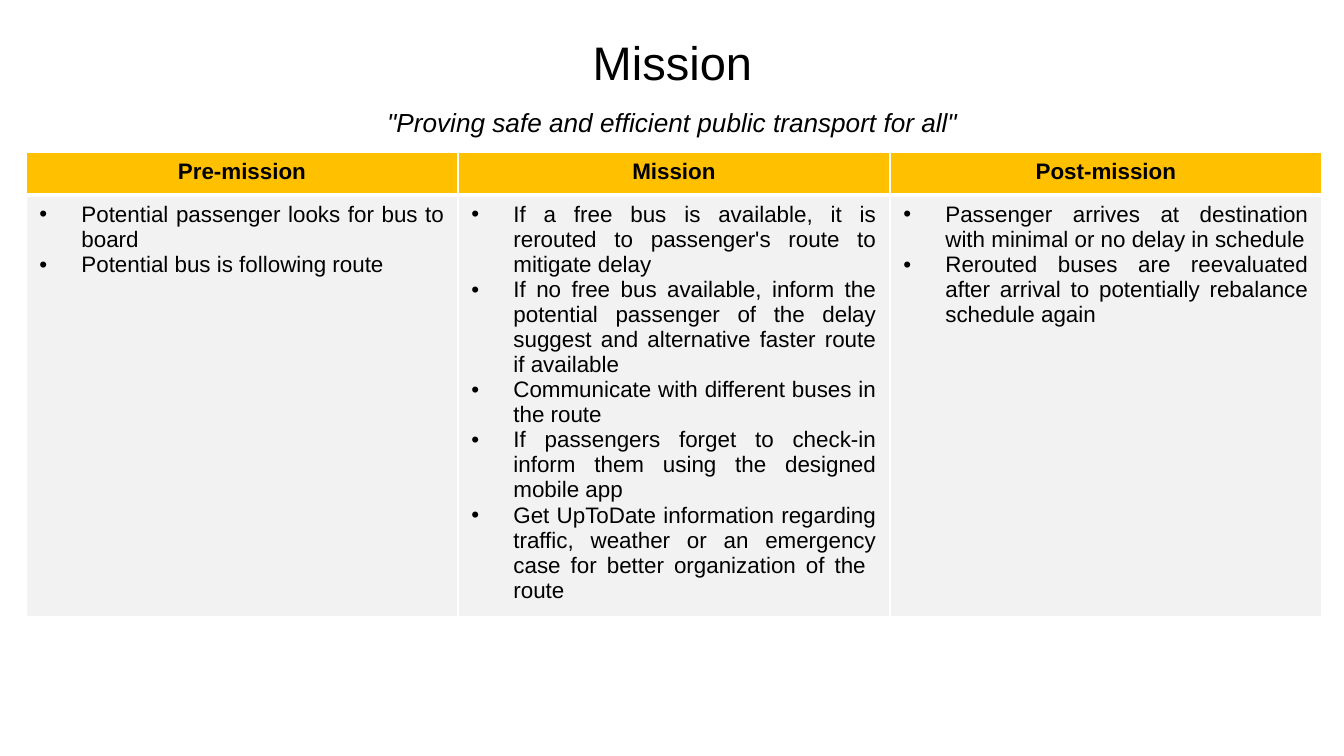
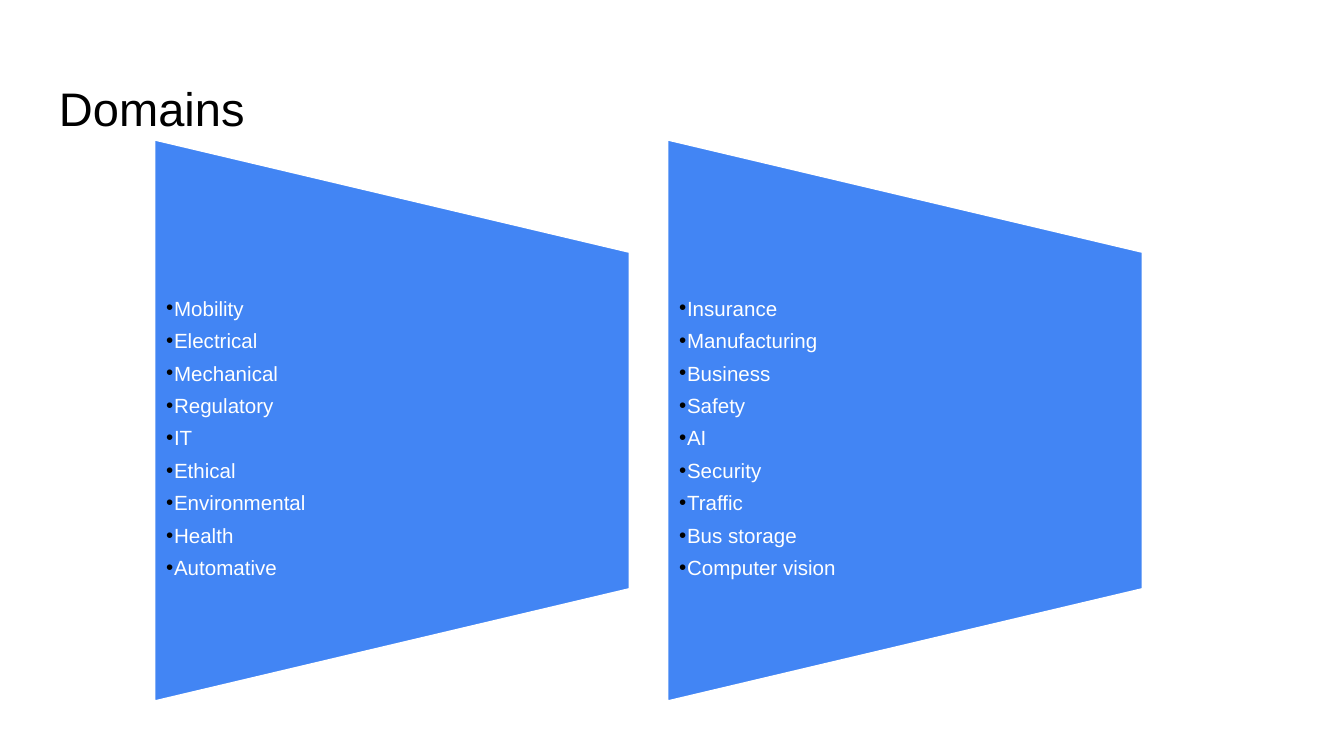
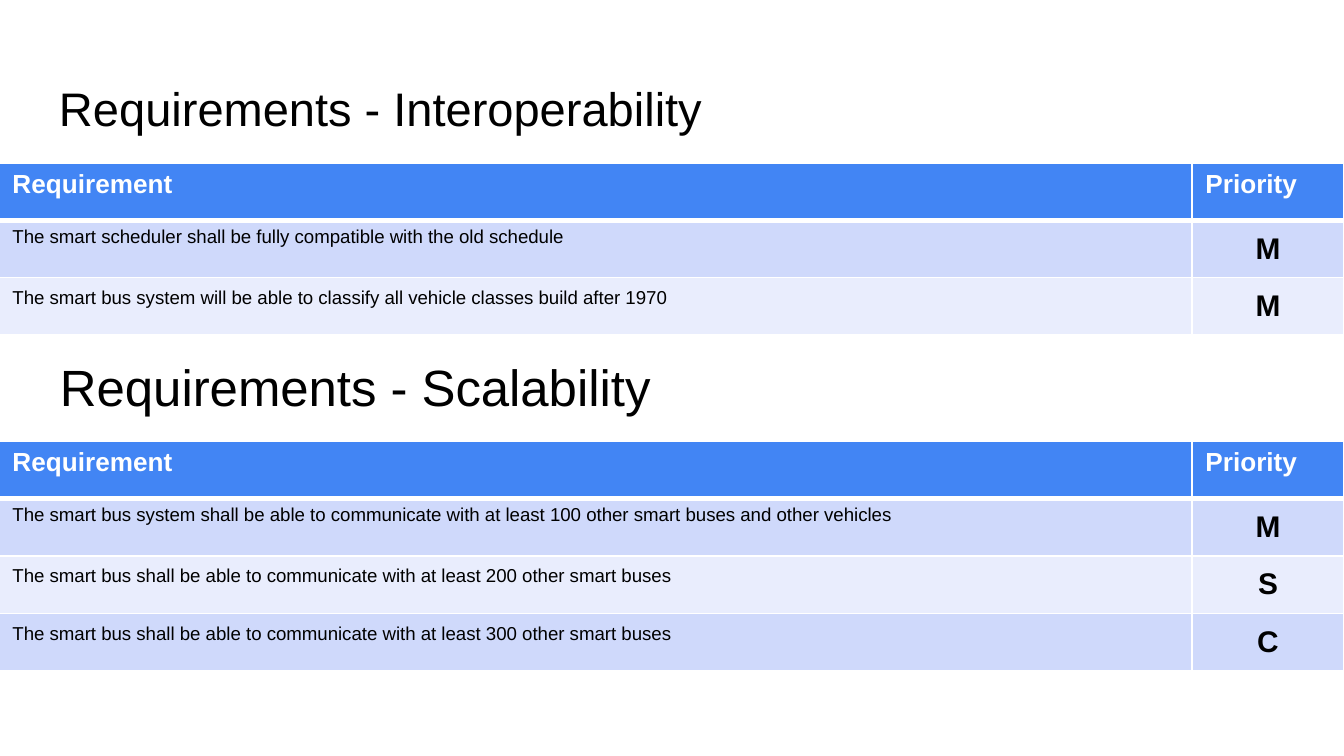
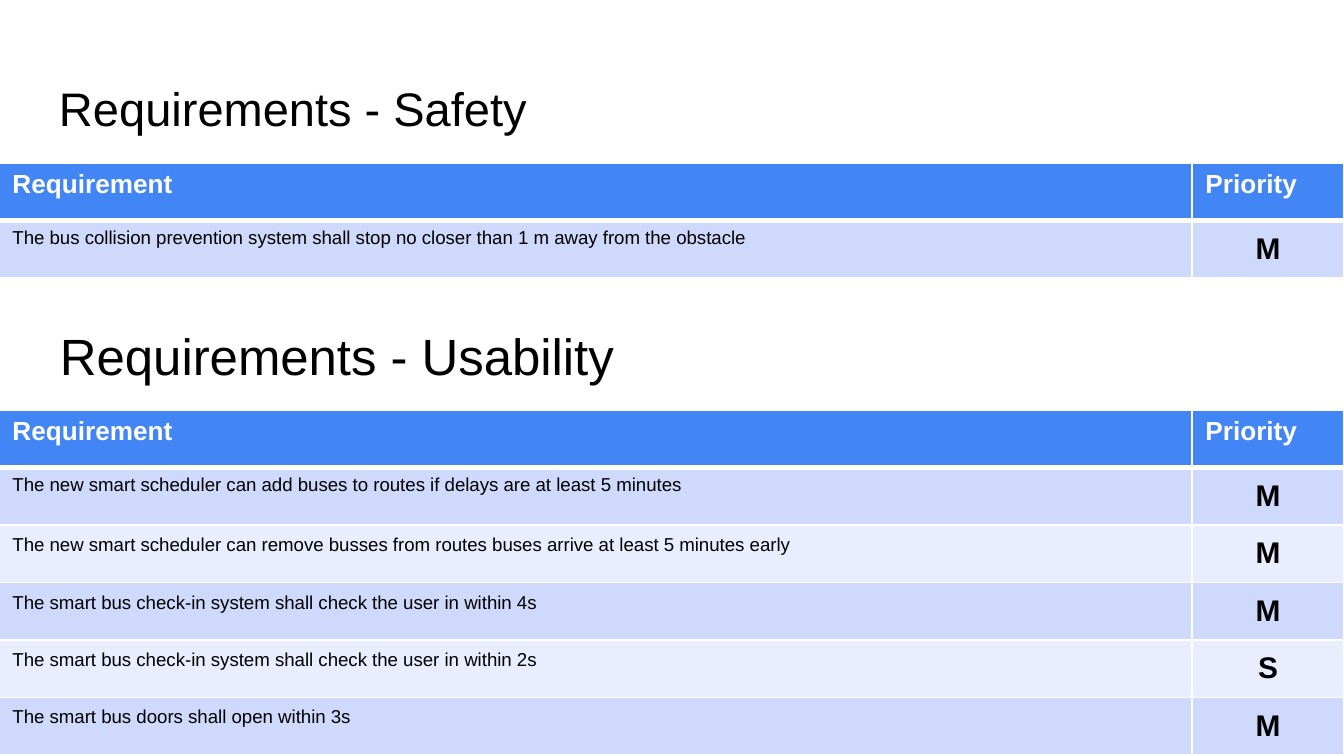
from lxml.etree import SubElement
from pptx import Presentation
from pptx.dml.color import RGBColor
from pptx.enum.shapes import MSO_SHAPE as Shape
from pptx.enum.text import MSO_ANCHOR as Anchor, MSO_AUTO_SIZE as AutoSize, PP_ALIGN as Align
from pptx.oxml.ns import qn
from pptx.util import Pt

EMU_PER_INCH, PX_PER_INCH = 914400, 134.4
SLIDE_W, SLIDE_H = 1344, 756
TITLE_ONLY = 5
FONT = "Arial"
COLORS = {
    "text": "000000",
    "white": "FFFFFF",
    "blue": "4285F4",
    "band_dark": "CFD9FB",
    "band_light": "E9EDFD",
    "amber": "FFC000",
    "grey": "F2F2F2",
}
TITLE_BOX = (46, 66, 1253, 85)
INSET = 13

PHASES = {
    "Pre-mission": [
        "Potential passenger looks for bus to board",
        "Potential bus is following route",
    ],
    "Mission": [
        "If a free bus is available, it is rerouted to passenger's route to mitigate delay",
        "If no free bus available, inform the potential passenger of the delay "
        "suggest and alternative faster route if available",
        "Communicate with different buses in the route",
        "If passengers forget to check-in inform them using the designed mobile app",
        "Get UpToDate information regarding traffic, weather or an emergency case "
        "for better organization of the  route",
    ],
    "Post-mission": [
        "Passenger arrives at destination with minimal or no delay in schedule",
        "Rerouted buses are reevaluated after arrival to potentially rebalance schedule again",
    ],
}
DOMAINS = [
    ["Mobility", "Electrical", "Mechanical", "Regulatory", "IT", "Ethical",
     "Environmental", "Health", "Automative"],
    ["Insurance", "Manufacturing", "Business", "Safety", "AI", "Security",
     "Traffic", "Bus storage", "Computer vision"],
]
INTEROPERABILITY = [
    ("The smart scheduler shall be fully compatible with the old schedule", "M"),
    ("The smart bus system will be able to classify all vehicle classes build after 1970", "M"),
]
SCALABILITY = [
    ("The smart bus system shall be able to communicate with at least 100 other "
     "smart buses and other vehicles", "M"),
    ("The smart bus shall be able to communicate with at least 200 other smart buses", "S"),
    ("The smart bus shall be able to communicate with at least 300 other smart buses", "C"),
]
SAFETY = [
    ("The bus collision prevention system shall stop no closer than 1 m away from the obstacle", "M"),
]
USABILITY = [
    ("The new smart scheduler can add buses to routes if delays are at least 5 minutes", "M"),
    ("The new smart scheduler can remove busses from routes buses arrive at least 5 minutes early", "M"),
    ("The smart bus check-in system shall check the user in within 4s", "M"),
    ("The smart bus check-in system shall check the user in within 2s", "S"),
    ("The smart bus doors shall open within 3s", "M"),
]


def px(length):
    return round(length * EMU_PER_INCH / PX_PER_INCH)


def px_box(box):
    return [px(length) for length in box]


def color(name):
    return RGBColor.from_string(COLORS[name])


def add_bullet(para, indent):
    """Hang a black bullet in the given indent."""
    props = para._p.get_or_add_pPr()
    props.set("marL", str(px(indent)))
    props.set("indent", str(-px(indent)))
    SubElement(SubElement(props, qn("a:buClr")), qn("a:srgbClr"), val=COLORS["text"])
    SubElement(props, qn("a:buFont"), typeface=FONT)
    SubElement(props, qn("a:buChar"), char="•")


def write(frame, text, size=12, ink="text", bold=False, italic=False, align=Align.LEFT,
          spacing=1.0, after=0, bullet_indent=None):
    """Fill a text frame with one paragraph, or with one for each item of a list."""
    lines = [text] if isinstance(text, str) else text
    for index, line in enumerate(lines):
        para = frame.add_paragraph() if index else frame.paragraphs[0]
        para.alignment = align
        para.line_spacing = spacing
        para.space_before = Pt(0)
        para.space_after = Pt(after)
        if bullet_indent:
            add_bullet(para, bullet_indent)
        span = para.add_run()
        span.text = line
        span.font.name = FONT
        span.font.size = Pt(size)
        span.font.bold = bold
        span.font.italic = italic
        span.font.color.rgb = color(ink)


def set_frame(frame, side=INSET, top=INSET, bottom=INSET, anchor=Anchor.TOP):
    frame.word_wrap = True
    frame.auto_size = AutoSize.NONE
    frame.vertical_anchor = anchor
    frame.margin_left = frame.margin_right = px(side)
    frame.margin_top, frame.margin_bottom = px(top), px(bottom)


def add_text(page, box, text, side=INSET, top=INSET, bottom=INSET, **style):
    frame = page.shapes.add_textbox(*px_box(box)).text_frame
    set_frame(frame, side, top, bottom)
    write(frame, text, **style)


def add_page(deck, title, box=TITLE_BOX, align=Align.LEFT):
    page = deck.slides.add_slide(deck.slide_layouts[TITLE_ONLY])
    holder = page.shapes.title
    holder.left, holder.top, holder.width, holder.height = px_box(box)
    set_frame(holder.text_frame)
    write(holder.text_frame, title, size=25.2, align=align)
    return page


def fill_cell(cell, text, fill, bottom_line=1, anchor=Anchor.TOP, **style):
    """Give a cell its white borders, fill and text."""
    props = cell._tc.get_or_add_tcPr()
    for side, points in (("L", 1), ("R", 1), ("T", 1), ("B", bottom_line)):
        line = SubElement(props, qn(f"a:ln{side}"), w=str(Pt(points)))
        SubElement(SubElement(line, qn("a:solidFill")), qn("a:srgbClr"), val=COLORS["white"])
    cell.fill.solid()
    cell.fill.fore_color.rgb = color(fill)
    cell.vertical_anchor = anchor
    write(cell.text_frame, text, **style)


def add_grid(page, box, row_count, column_widths):
    table = page.shapes.add_table(row_count, len(column_widths), *px_box(box)).table
    table.horz_banding = False
    for column, width in zip(table.columns, column_widths):
        column.width = px(width)
    return table


def phase_table(page, box, header_height=43):
    width, height = box[2:]
    table = add_grid(page, box, 2, [width // len(PHASES)] * len(PHASES))
    table.rows[0].height = px(header_height)
    table.rows[1].height = px(height - header_height)
    for column, (phase, steps) in enumerate(PHASES.items()):
        fill_cell(table.cell(0, column), phase, "amber", bottom_line=3,
                  bold=True, align=Align.CENTER)
        fill_cell(table.cell(1, column), steps, "grey",
                  align=Align.JUSTIFY, bullet_indent=42)


def domain_panel(page, box, domains):
    """Draw a panel that narrows to the right, with its list of domains."""
    left, top, width, height = box
    shift = (height - width) // 2
    panel = page.shapes.add_shape(
        Shape.FLOWCHART_MANUAL_OPERATION,
        *px_box((left - shift, top + shift, height, width)))
    panel.rotation = 270
    panel.shadow.inherit = False
    panel.fill.solid()
    panel.fill.fore_color.rgb = color("blue")
    panel.line.color.rgb = color("white")
    panel.line.width = Pt(2)
    add_text(page, (left, top + height // 5, width, height * 3 // 5), domains,
             top=41, bottom=0, size=11, ink="white", spacing=1.15, after=2.2,
             bullet_indent=8)


def requirement_table(page, top, requirements):
    row_count = len(requirements) + 1
    table = add_grid(page, (-1, top, 1345, row_count * 288 // 5), row_count, [1193, 152])
    for column, heading in enumerate(("Requirement", "Priority")):
        fill_cell(table.cell(0, column), heading, "blue", bottom_line=3,
                  size=14, ink="white", bold=True)
    for row, (requirement, priority) in enumerate(requirements, 1):
        band = "band_dark" if row % 2 else "band_light"
        fill_cell(table.cell(row, 0), requirement, band, size=10,
                  spacing=1.0 if row == 1 else 1.15)
        fill_cell(table.cell(row, 1), priority, band, anchor=Anchor.MIDDLE,
                  size=16, bold=True, align=Align.CENTER)


def mission_page(deck):
    page = add_page(deck, "Mission", (46, 20, 1253, 79), Align.CENTER)
    phase_table(page, (26, 152, 1296, 465))
    add_text(page, (130, 99, 1085, 46), '"Proving safe and efficient public transport for all"',
             top=7, bottom=7, size=14, italic=True, align=Align.CENTER)


def domains_page(deck):
    page = add_page(deck, "Domains")
    for index, domains in enumerate(DOMAINS):
        domain_panel(page, (153 + 513 * index, 139, 477, 564), domains)


def requirements_page(deck, first, second, second_top):
    """Stack two requirement tables, each given as a topic and its rows."""
    page = add_page(deck, f"Requirements - {first[0]}")
    requirement_table(page, 163, first[1])
    add_text(page, (47, second_top - 91, 1253, 85), f"Requirements - {second[0]}",
             size=27.3, spacing=0.9)
    requirement_table(page, second_top, second[1])


def main():
    deck = Presentation()
    deck.slide_width, deck.slide_height = px(SLIDE_W), px(SLIDE_H)
    mission_page(deck)
    domains_page(deck)
    requirements_page(deck, ("Interoperability", INTEROPERABILITY),
                      ("Scalability", SCALABILITY), 441)
    requirements_page(deck, ("Safety", SAFETY), ("Usability", USABILITY), 410)
    deck.save("out.pptx")


if __name__ == "__main__":
    main()
